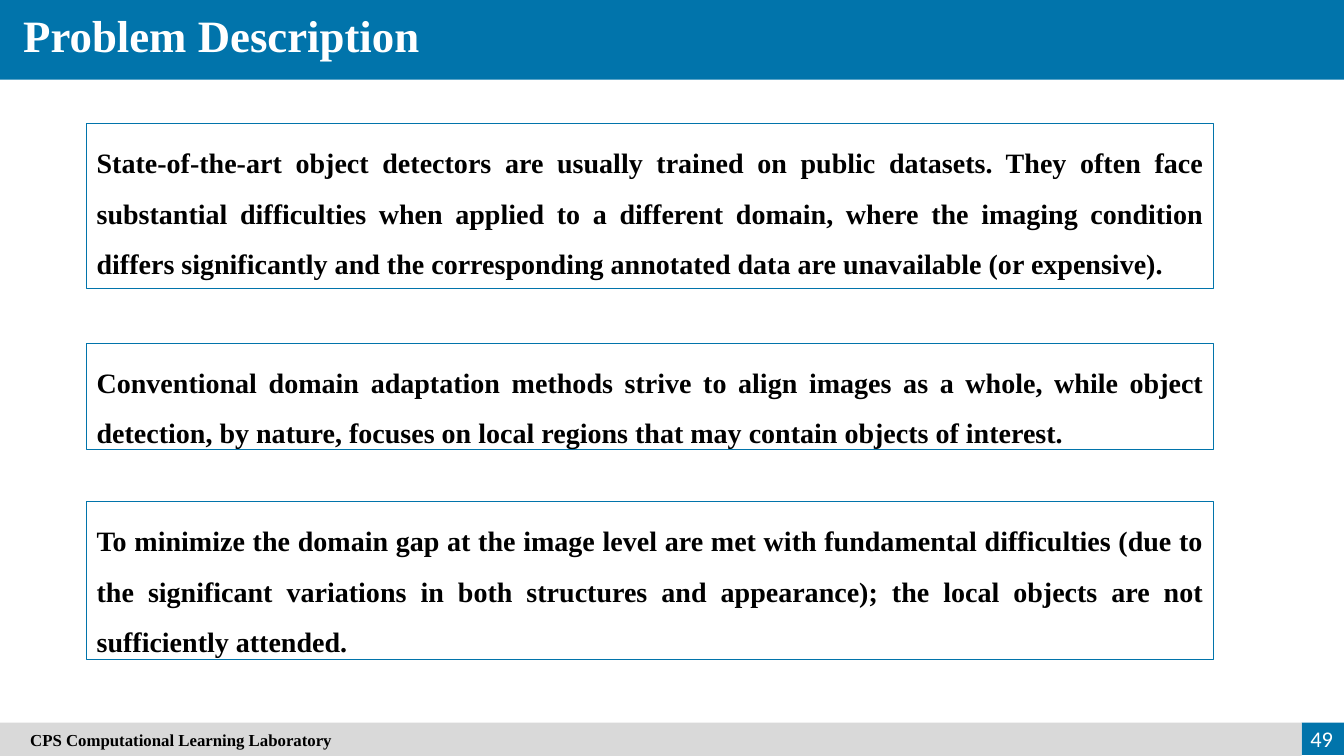
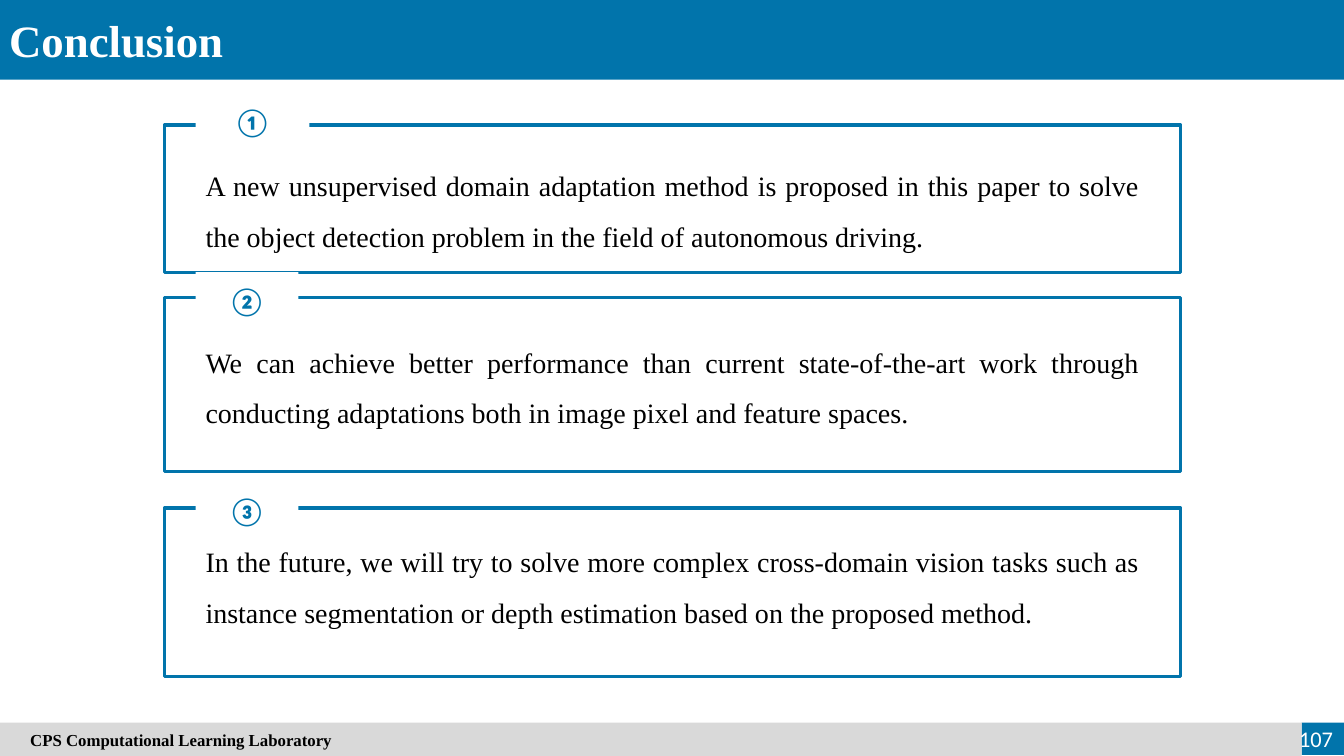
from pptx import Presentation
from pptx.dml.color import RGBColor
from pptx.enum import shapes, text
from pptx.util import Inches, Pt

BLUE, GREY, WHITE, BLACK = "0174AB", "D9D9D9", "FFFFFF", "000000"
SERIF, SANS = "Times New Roman", "Calibri"
WIDTH, HEIGHT = 13.33, 7.5
BAND_HEIGHT = 0.79
FOOTER_TOP, FOOTER_SPLIT = 7.17, 12.91
ALIGN, ANCHOR = text.PP_ALIGN, text.MSO_ANCHOR

PROBLEMS = [
    (1.23, 1.63, "State-of-the-art object detectors are usually trained on public datasets. "
     "They often face substantial difficulties when applied to a different domain, where the "
     "imaging condition differs significantly and the corresponding annotated data are "
     "unavailable (or expensive)."),
    (3.41, 1.05, "Conventional domain adaptation methods strive to align images as a whole, "
     "while object detection, by nature, focuses on local regions that may contain objects "
     "of interest."),
    (4.98, 1.56, "To minimize the domain gap at the image level are met with fundamental "
     "difficulties (due to the significant variations in both structures and appearance); "
     "the local objects are not sufficiently attended."),
]

# Frame top, frame height, badge top offset, badge width, text offset, number, wording
CONCLUSIONS = [
    (1.24, 1.46, -0.31, 1.13, 0.22, "①", "A new unsupervised domain adaptation method is "
     "proposed in this paper to solve the object detection problem in the field of "
     "autonomous driving."),
    (2.95, 1.73, -0.25, 1.02, 0.26, "②", "We can achieve better performance than current "
     "state-of-the-art work through conducting adaptations both in image pixel and feature "
     "spaces."),
    (5.04, 1.67, -0.25, 1.02, 0.15, "③", "In the future, we will try to solve more complex "
     "cross-domain vision tasks such as instance segmentation or depth estimation based on "
     "the proposed method."),
]


def colour(value):
    return RGBColor.from_string(value)


def add_rect(page, left, top, width, height, fill=None, line=None, weight=0.75):
    rect = page.shapes.add_shape(shapes.MSO_SHAPE.RECTANGLE, Inches(left), Inches(top),
                                 Inches(width), Inches(height))
    rect.shadow.inherit = False
    if fill:
        rect.fill.solid()
        rect.fill.fore_color.rgb = colour(fill)
    else:
        rect.fill.background()
    if line:
        rect.line.color.rgb = colour(line)
        rect.line.width = Pt(weight)
    else:
        rect.line.fill.background()
    return rect


def add_text_box(page, left, top, width, height):
    return page.shapes.add_textbox(Inches(left), Inches(top), Inches(width), Inches(height))


def write(box, wording, size, ink=BLACK, font=SERIF, bold=False, align=ALIGN.JUSTIFY,
          anchor=ANCHOR.TOP, spacing=None):
    frame = box.text_frame
    frame.word_wrap = True
    frame.auto_size = text.MSO_AUTO_SIZE.NONE
    frame.vertical_anchor = anchor
    para = frame.paragraphs[0]
    para.text = wording
    para.alignment = align
    if spacing:
        para.line_spacing = spacing
    para.font.name = font
    para.font.size = Pt(size)
    para.font.bold = bold
    para.font.color.rgb = colour(ink)


def add_footer(page, number):
    add_rect(page, FOOTER_SPLIT, FOOTER_TOP, WIDTH - FOOTER_SPLIT, 0.32, fill=BLUE)
    strip = add_rect(page, 0, FOOTER_TOP, FOOTER_SPLIT, HEIGHT - FOOTER_TOP, fill=GREY)
    strip.text_frame.margin_left = Inches(0.3)
    write(strip, "CPS Computational Learning Laboratory", 12, bold=True, align=ALIGN.LEFT,
          anchor=ANCHOR.MIDDLE)
    write(add_text_box(page, 12.69, 7.13, 0.63, 0.4), number, 16, WHITE, SANS,
          align=ALIGN.RIGHT, anchor=ANCHOR.MIDDLE)


def add_page(deck, heading, left, top, number):
    """Add a slide with the title band and the footer."""
    page = deck.slides.add_slide(deck.slide_layouts.get_by_name("Title Only"))
    title = page.shapes.title
    band = add_rect(page, 0, 0, WIDTH, BAND_HEIGHT, fill=BLUE)
    title.element.addprevious(band.element)  # keeps the title in front of its band
    title.left, title.top = Inches(left), Inches(top)
    title.width, title.height = Inches(5.37), Inches(0.64)
    write(title, heading, 32, WHITE, bold=True)
    add_footer(page, number)
    return page


def add_problem(page, top, height, wording):
    box = add_rect(page, 0.86, top, 11.18, height, line=BLUE)
    write(box, wording, 20, bold=True, spacing=1.5)


def add_conclusion(page, top, height, badge_offset, badge_width, text_offset, number, wording):
    """Add a frame whose top edge is broken by a numbered badge."""
    left = 1.63
    inner_left = left + 0.31
    add_rect(page, left, top, 10.08, height, line=BLUE, weight=2.25)
    badge = add_rect(page, inner_left, top + badge_offset, badge_width, 0.55, fill=WHITE)
    write(badge, number, 20, BLUE, SANS, bold=True, align=ALIGN.CENTER, anchor=ANCHOR.MIDDLE)
    write(add_text_box(page, inner_left, top + text_offset, 9.46, 1.05), wording, 20,
          spacing=1.5)


def main():
    deck = Presentation()
    deck.slide_width, deck.slide_height = Inches(WIDTH), Inches(HEIGHT)
    page = add_page(deck, "Problem Description", 0.13, 0.03, "49")
    for problem in PROBLEMS:
        add_problem(page, *problem)
    page = add_page(deck, "Conclusion", -0.01, 0.08, "107")
    for conclusion in CONCLUSIONS:
        add_conclusion(page, *conclusion)
    deck.save("out.pptx")


if __name__ == "__main__":
    main()
